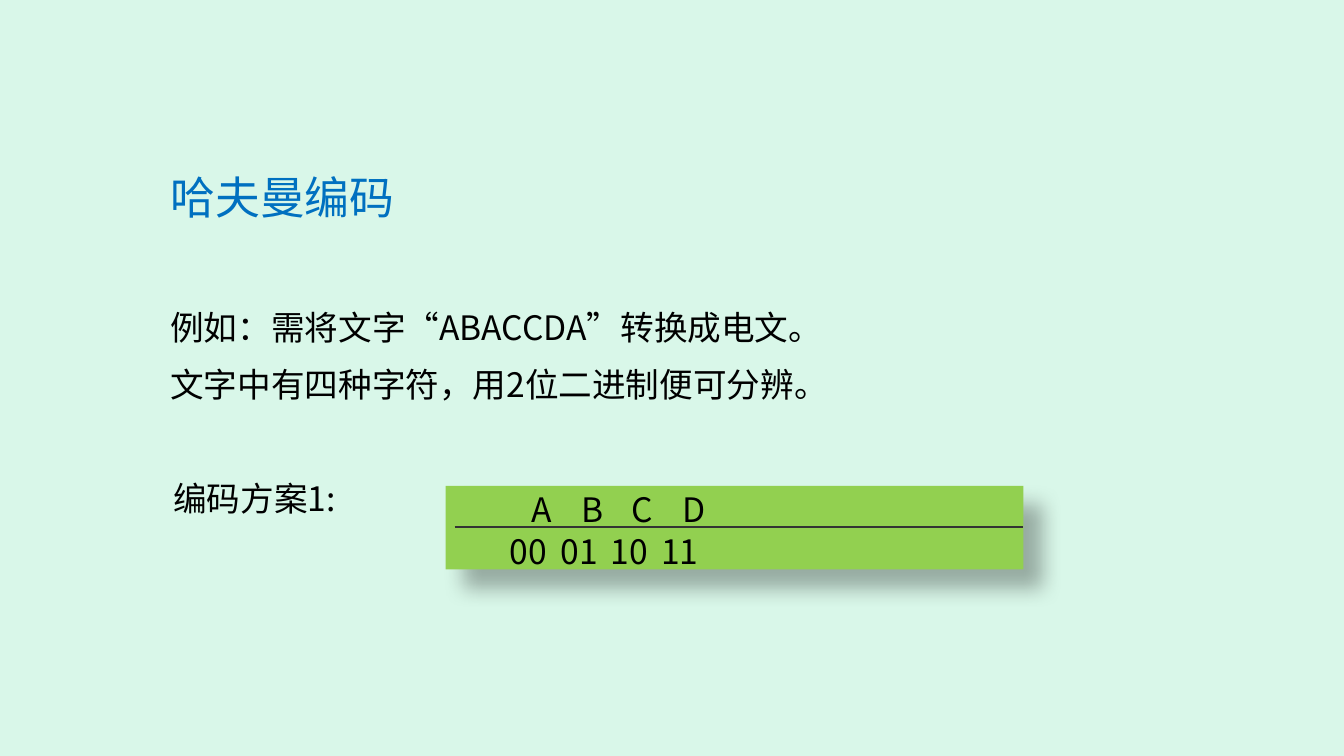
from dataclasses import dataclass

from lxml import etree
from pptx import Presentation
from pptx import util as u
from pptx.dml.color import RGBColor
from pptx.enum import shapes, text
from pptx.oxml import ns

FONT = "Noto Sans CJK SC"
BLACK, BLUE, GREEN, GREY, MINT = "000000", "0070C0", "92D050", "333333", "D9F7E9"


@dataclass
class Area:
    left: float
    top: float
    width: float
    height: float


@dataclass
class CodeRow:
    area: Area
    words: list[str]
    stops: list[float]
    lead: str = ""


@dataclass
class Rule:
    left: float
    right: float
    top: float


HEADING = Area(1.59, 1.37, 6.25, 1.42)
EXAMPLE = Area(1.59, 2.99, 9.3, 1.11)
LABEL = Area(1.62, 4.69, 2.21, 0.5)
PANEL = Area(4.42, 4.82, 5.73, 0.83)
CODE_ROWS = [
    CodeRow(Area(4.67, 4.8, 5.6, 0.51), ["A", "B", "C", "D"], [0.22, 1.23, 2.43, 3.51], "\t"),
    CodeRow(Area(4.96, 5.22, 5.03, 0.51), ["00", "01", "10", "11"], [1.02, 2.2, 3.32]),
]
RULES = [Rule(4.51, 10.15, 5.23), Rule(1.94, 1.94, 7.03)]


def colour(code: str) -> RGBColor:
    return RGBColor.from_string(code)


def place(box, area: Area) -> None:
    box.left, box.top = u.Inches(area.left), u.Inches(area.top)
    box.width, box.height = u.Inches(area.width), u.Inches(area.height)


def write(box, lines: list[str], size: int = 24, ink: str = BLACK,
          spacing: float = 1.0, stops: tuple | list = ()) -> None:
    frame = box.text_frame
    frame.word_wrap = True
    frame.auto_size = text.MSO_AUTO_SIZE.NONE
    frame.vertical_anchor = text.MSO_ANCHOR.TOP
    for index, line in enumerate(lines):
        para = frame.add_paragraph() if index else frame.paragraphs[0]
        props = para._p.get_or_add_pPr()
        props.set("marL", "0")
        props.set("indent", "0")
        etree.SubElement(props, ns.qn("a:buNone"))
        if stops:
            tabs = etree.SubElement(props, ns.qn("a:tabLst"))
            for stop in stops:
                etree.SubElement(tabs, ns.qn("a:tab"), pos=str(u.Inches(stop)), algn="l")
        para.alignment = text.PP_ALIGN.LEFT
        para.line_spacing = spacing
        para.space_before = u.Pt(12 if index else 0)
        span = para.add_run()
        span.text = line
        span.font.name = FONT
        span.font.size = u.Pt(size)
        span.font.color.rgb = colour(ink)
        etree.SubElement(span._r.get_or_add_rPr(), ns.qn("a:ea"), typeface=FONT)


def add_text(page, area: Area, line: str, stops: tuple | list = ()) -> None:
    box = page.shapes.add_textbox(0, 0, 0, 0)
    place(box, area)
    write(box, [line], stops=stops)


def add_panel(page, area: Area) -> None:
    panel = page.shapes.add_shape(shapes.MSO_SHAPE.RECTANGLE, 0, 0, 0, 0)
    place(panel, area)
    panel.fill.solid()
    panel.fill.fore_color.rgb = colour(GREEN)
    panel.line.fill.background()
    panel.shadow.inherit = False
    effects = panel._element.spPr.find(ns.qn("a:effectLst"))
    shadow = etree.SubElement(
        effects, ns.qn("a:outerShdw"), blurRad=str(u.Pt(15)), dist=str(u.Pt(18)),
        dir=str(45 * 60000), algn="tl", rotWithShape="0")
    shade = etree.SubElement(shadow, ns.qn("a:srgbClr"), val=BLACK)
    etree.SubElement(shade, ns.qn("a:alpha"), val="30000")


def add_rule(page, rule: Rule) -> None:
    top = u.Inches(rule.top)
    line = page.shapes.add_connector(
        shapes.MSO_CONNECTOR.STRAIGHT, u.Inches(rule.left), top, u.Inches(rule.right), top)
    line.line.color.rgb = colour(GREY)
    line.line.width = u.Pt(1)
    etree.SubElement(line._element.spPr, ns.qn("a:effectLst"))


def main() -> None:
    deck = Presentation()
    deck.slide_width, deck.slide_height = u.Inches(13.33), u.Inches(7.5)
    page = deck.slides.add_slide(deck.slide_layouts[1])
    page.background.fill.solid()
    page.background.fill.fore_color.rgb = colour(MINT)

    # Heading and example
    heading, example = page.shapes.title, page.placeholders[1]
    place(heading, HEADING)
    write(heading, ["哈夫曼编码"], size=32, ink=BLUE, spacing=1.5)
    place(example, EXAMPLE)
    write(example, ["例如：需将文字“ABACCDA”转换成电文。", "文字中有四种字符，用2位二进制便可分辨。"])

    # Code panel with its dividing line, and the small mark at the foot
    add_panel(page, PANEL)
    for rule in RULES:
        add_rule(page, rule)
    for row in CODE_ROWS:
        add_text(page, row.area, row.lead + "\t".join(row.words), row.stops)
    add_text(page, LABEL, "编码方案1:")

    deck.save("out.pptx")


if __name__ == "__main__":
    main()
